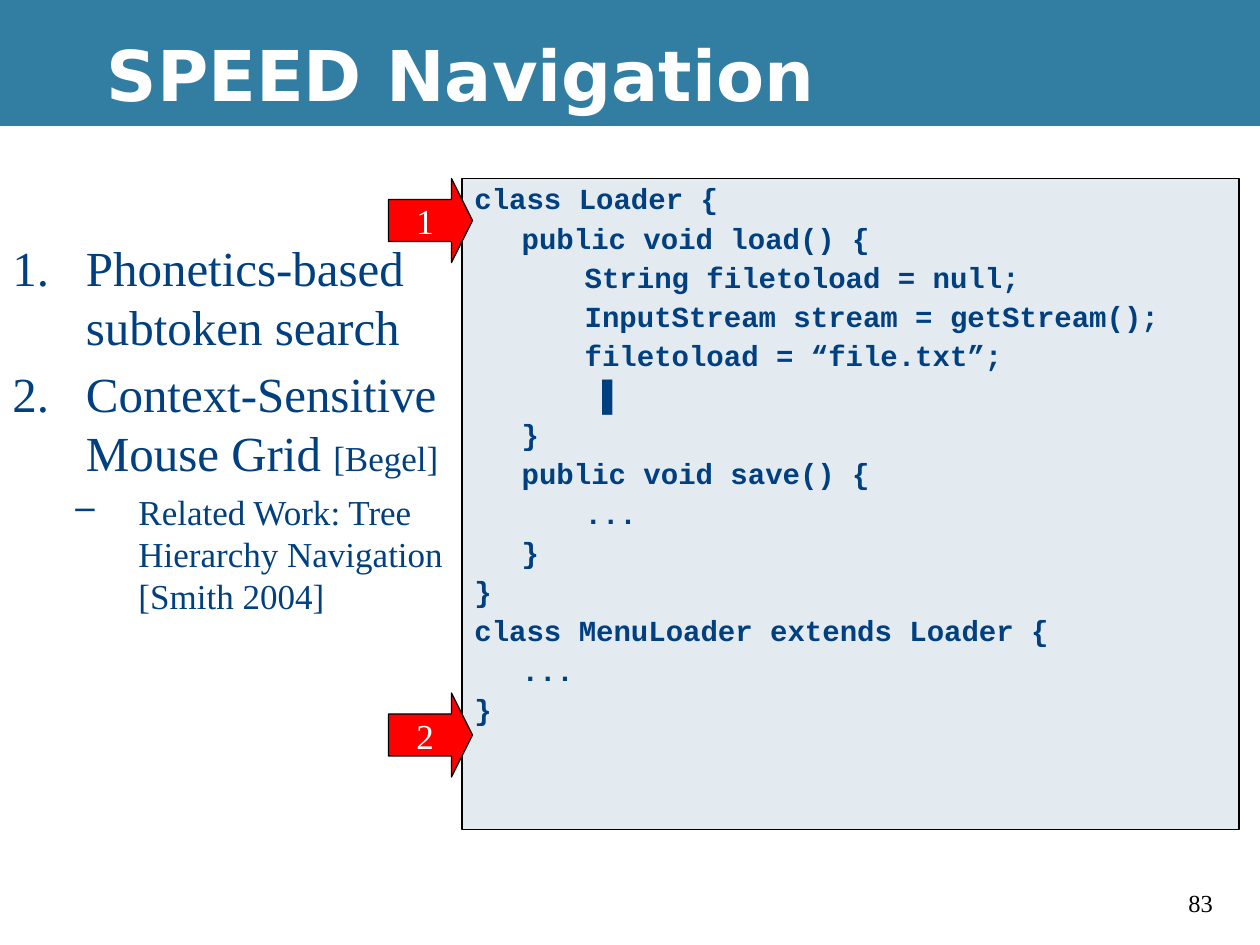
import pptx
import pptx.util
import pptx.dml.color
import pptx.enum.shapes
import pptx.enum.text
import pptx.oxml.ns
import lxml.etree

Pt = pptx.util.Pt
SHAPE = pptx.enum.shapes.MSO_SHAPE
ALIGN = pptx.enum.text.PP_ALIGN
ANCHOR = pptx.enum.text.MSO_ANCHOR

WIDTH, HEIGHT, BAND_HEIGHT = 720, 540, 72
NAVY, WHITE, BLACK = "004080", "FFFFFF", "000000"
SERIF = {"name": "Times New Roman", "size": Pt(20)}
CODE_FONT = {"name": "Courier New", "size": Pt(16.6), "bold": True}
CARET = "▌"

CODE = """class Loader {
\tpublic void load() {
\t\tString filetoload = null;
\t\tInputStream stream = getStream();
\t\tfiletoload = “file.txt”;
\t\t ▌
\t}
\tpublic void save() {
\t\t...
\t}
}
class MenuLoader extends Loader {
\t...
}"""

# Each point: level, bullet tag, bullet attributes, runs of (text, size)
POINTS = [
    (0, "buAutoNum", {"type": "arabicPeriod"},
     [("Phonetics-based subtoken search", 28)]),
    (0, "buAutoNum", {"type": "arabicPeriod"},
     [("Context-Sensitive Mouse Grid ", 28), ("[Begel]", 20)]),
    (1, "buChar", {"char": "–"},
     [("Related Work: Tree Hierarchy Navigation [Smith 2004]", 20)]),
]
INDENTS = [(42, -42), (72, -36)]


def colour(hex_value):
    return pptx.dml.color.RGBColor.from_string(hex_value)


def apply(target, values):
    for name, value in values.items():
        setattr(target, name, value)


def add_child(parent, tag, **attributes):
    child = lxml.etree.SubElement(parent, pptx.oxml.ns.qn("a:" + tag))
    for name, value in attributes.items():
        child.set(name, str(value))
    return child


def add_box(slide, preset, box, fill, line=None):
    shape = slide.shapes.add_shape(preset, *map(Pt, box))
    shape.shadow.inherit = False
    shape.fill.solid()
    shape.fill.fore_color.rgb = colour(fill)
    if line:
        shape.line.color.rgb = colour(line)
        shape.line.width = Pt(0.75)
    else:
        shape.line.fill.background()
    return shape


def add_text_frame(slide, box, **frame_format):
    frame = slide.shapes.add_textbox(*map(Pt, box)).text_frame
    apply(frame, {"word_wrap": True, **frame_format})
    return frame


def add_run(paragraph, text, font, hex_value):
    run = paragraph.add_run()
    run.text = text
    apply(run.font, font)
    run.font.color.rgb = colour(hex_value)


def next_paragraph(frame, index):
    return frame.add_paragraph() if index else frame.paragraphs[0]


def indent(paragraph, margin, first_line):
    properties = paragraph._p.get_or_add_pPr()
    properties.set("marL", str(Pt(margin)))
    properties.set("indent", str(Pt(first_line)))
    return properties


def draw_title(slide, box):
    left, top, width, height = box
    add_box(slide, SHAPE.RECTANGLE, box, "327EA3")
    frame = add_text_frame(slide, (left + 54, top + 6, width - 54, height),
                           vertical_anchor=ANCHOR.MIDDLE)
    add_run(frame.paragraphs[0], "SPEED Navigation",
            {"name": "DejaVu Sans", "size": Pt(40), "bold": True}, WHITE)


def draw_points(slide, box):
    frame = add_text_frame(slide, box)
    for index, (level, bullet, attributes, runs) in enumerate(POINTS):
        paragraph = next_paragraph(frame, index)
        paragraph.level = level
        if index:
            paragraph.space_before = Pt(5)
        properties = indent(paragraph, *INDENTS[level])
        add_child(add_child(properties, "buClr"), "srgbClr", val=NAVY)
        add_child(properties, bullet, **attributes)
        for text, size in runs:
            add_run(paragraph, text, {**SERIF, "size": Pt(size)}, NAVY)


def draw_code(slide, box):
    panel = add_box(slide, SHAPE.RECTANGLE, box, "E3EBF1", BLACK)
    frame = panel.text_frame
    apply(frame, {"word_wrap": True, "vertical_anchor": ANCHOR.TOP})
    for index, code_line in enumerate(CODE.split("\n")):
        paragraph = next_paragraph(frame, index)
        apply(paragraph, {"alignment": ALIGN.LEFT, "line_spacing": 0.9})
        if index:
            paragraph.space_before = Pt(4.5)
        tabs = add_child(indent(paragraph, 27, -27), "tabLst")
        for stop in range(8):
            add_child(tabs, "tab", pos=Pt(72 * stop), algn="l")
        before, caret, _ = code_line.partition(CARET)
        add_run(paragraph, before, CODE_FONT, NAVY)
        if caret:
            add_run(paragraph, caret, {**CODE_FONT, "name": "Arial"}, NAVY)


def draw_marker(slide, box, number):
    arrow = add_box(slide, SHAPE.RIGHT_ARROW, box, "FF0000", BLACK)
    arrow.adjustments[0], arrow.adjustments[1] = 0.5, 0.25
    frame = arrow.text_frame
    apply(frame, {"word_wrap": False, "vertical_anchor": ANCHOR.MIDDLE})
    frame.paragraphs[0].alignment = ALIGN.CENTER
    add_run(frame.paragraphs[0], str(number), SERIF, WHITE)


def draw_page_number(slide, box):
    frame = add_text_frame(slide, box)
    add_run(frame.paragraphs[0], "83", {**SERIF, "size": Pt(14)}, BLACK)


def main():
    deck = pptx.Presentation()
    apply(deck, {"slide_width": Pt(WIDTH), "slide_height": Pt(HEIGHT)})
    slide = deck.slides.add_slide(deck.slide_layouts[6])
    slide.background.fill.solid()
    slide.background.fill.fore_color.rgb = colour(BLACK)

    # Page and title band
    add_box(slide, SHAPE.RECTANGLE,
            (0, BAND_HEIGHT, WIDTH, HEIGHT - BAND_HEIGHT), WHITE)
    draw_page_number(slide, (672, 504, 36, 24.5))
    draw_title(slide, (0, 0, WIDTH, BAND_HEIGHT))

    # Techniques beside the code, with the numbered arrows
    draw_points(slide, (0, 132, 276, 348))
    draw_code(slide, (264, 102, 444, 372))
    for number, top in enumerate((102, 396), 1):
        draw_marker(slide, (222, top, 48, 48), number)

    deck.save("out.pptx")


if __name__ == "__main__":
    main()
